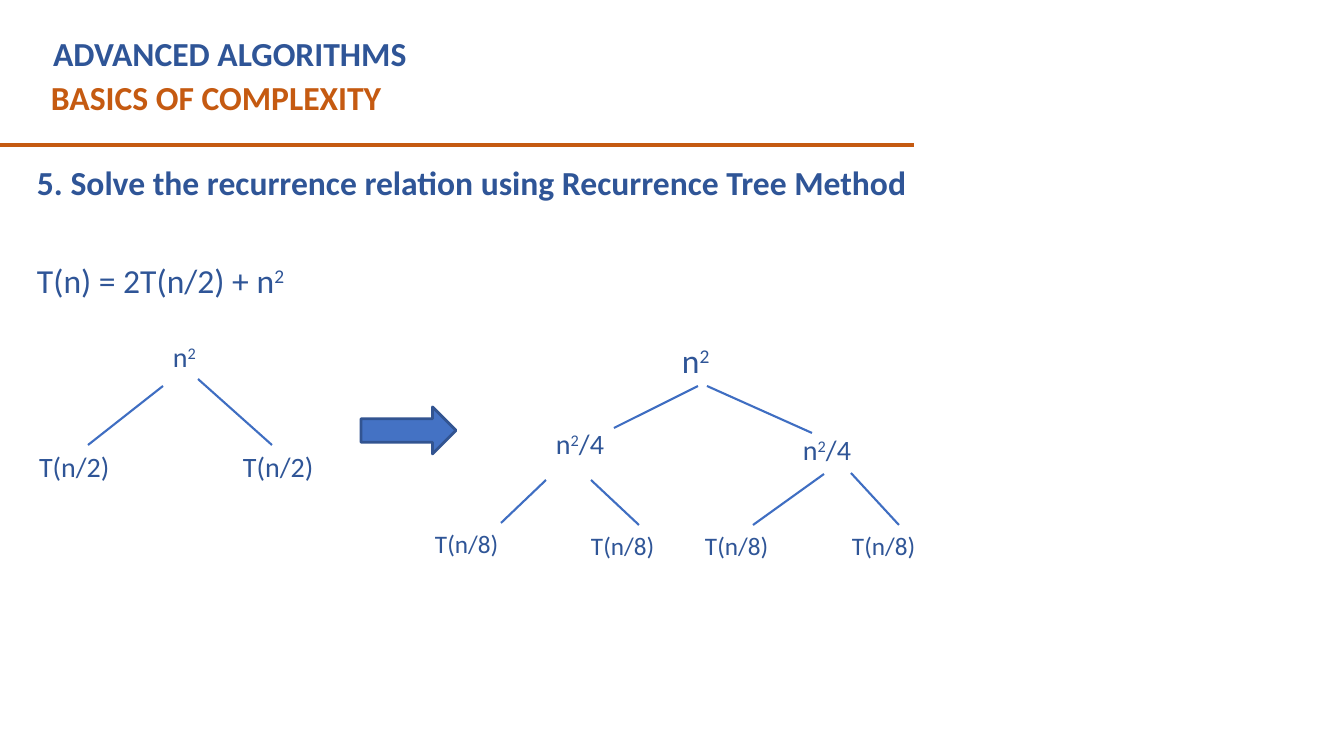
import pptx
import pptx.dml.color
import pptx.enum.shapes
import pptx.enum.text
import pptx.oxml.ns
import pptx.util
from lxml import etree

RGBColor = pptx.dml.color.RGBColor
NAVY = RGBColor(0x2F, 0x55, 0x97)
ORANGE = RGBColor(0xC5, 0x5A, 0x11)
EDGE_BLUE = RGBColor(0x3F, 0x6E, 0xC2)
ARROW_FILL = RGBColor(0x44, 0x72, 0xC4)
ARROW_LINE = RGBColor(0x32, 0x54, 0x91)

EMU_PER_PX = 914400 / 100.8
HEADING = {"size": pptx.util.Pt(24), "bold": True}


def px(length):
    return pptx.util.Emu(round(length * EMU_PER_PX))


class SlideBuilder:
    def __init__(self, page):
        self.page = page
        self.shapes = page.shapes
        self.font = {"name": "Calibri", "size": pptx.util.Pt(20), "bold": False}

    def start_group(self):
        """Put the elements that follow into a new group."""
        self.shapes = self.page.shapes.add_group_shape().shapes

    def end_group(self):
        self.shapes = self.page.shapes

    def add_spans(self, para, text, color=NAVY, **style):
        """Fill a paragraph; text between two ^ marks is superscript."""
        for index, part in enumerate(text.split("^")):
            if not part:
                continue
            span = para.add_run()
            span.text = part
            for name, value in {**self.font, **style}.items():
                setattr(span.font, name, value)
            span.font.color.rgb = color
            if index % 2:
                span._r.get_or_add_rPr().set("baseline", "30000")

    def frame(self, left, top, width, height, inset=5):
        box = self.shapes.add_textbox(px(left), px(top), px(width), px(height))
        frame = box.text_frame
        layout = {"word_wrap": True, "margin_left": px(10), "margin_right": px(10),
                  "margin_top": px(inset), "margin_bottom": px(inset)}
        for name, value in layout.items():
            setattr(frame, name, value)
        return frame

    def label(self, text, left, top, width, height, **style):
        frame = self.frame(left, top, width, height)
        self.add_spans(frame.paragraphs[0], text, **style)

    def question(self, heading, equation, left, top, width, height):
        frame = self.frame(left, top, width, height, inset=0)
        frame.vertical_anchor = pptx.enum.text.MSO_ANCHOR.MIDDLE
        first, second = frame.paragraphs[0], frame.add_paragraph()
        for para in (first, second):
            para.alignment = pptx.enum.text.PP_ALIGN.JUSTIFY
            para.space_after = pptx.util.Pt(6)
            para._p.get_or_add_pPr().set("marL", str(px(10)))
        second.space_before = pptx.util.Pt(35)
        self.add_spans(first, heading, **HEADING)
        self.add_spans(second, equation, size=pptx.util.Pt(24))

    def line(self, start_x, start_y, end_x, end_y, color=EDGE_BLUE, weight=1.5):
        line = self.shapes.add_connector(
            pptx.enum.shapes.MSO_CONNECTOR.STRAIGHT,
            px(start_x), px(start_y), px(end_x), px(end_y))
        line.line.color.rgb = color
        line.line.width = pptx.util.Pt(weight)
        etree.SubElement(line._element.spPr, pptx.oxml.ns.qn("a:effectLst"))

    def arrow(self, left, top, width, height):
        arrow = self.shapes.add_shape(
            pptx.enum.shapes.MSO_SHAPE.RIGHT_ARROW,
            px(left), px(top), px(width), px(height))
        arrow.shadow.inherit = False
        arrow.fill.solid()
        arrow.fill.fore_color.rgb = ARROW_FILL
        arrow.line.color.rgb = ARROW_LINE
        arrow.line.width = pptx.util.Pt(2)


def draw_first_tree(builder):
    builder.start_group()
    builder.label("n^2^", 163, 335, 68, 43)
    for left in (29, 233):
        builder.label("T(n/2)", left, 445, 116, 43)
    for edge in ((163, 386, 88, 445), (198, 379, 272, 445)):
        builder.line(*edge)
    builder.end_group()


def draw_expanded_tree(builder):
    builder.start_group()
    builder.label("n^2^", 672, 335, 68, 50, size=pptx.util.Pt(24))
    for left, top in ((546, 422), (793, 428)):
        builder.label("n^2^/4", left, top, 116, 43)
    for left, top in ((425, 523), (581, 525), (695, 525), (842, 525)):
        builder.label("T(n/8)", left, top, 116, 40, size=pptx.util.Pt(18))
    edges = (
        (698, 386, 614, 428), (707, 386, 812, 433),
        (546, 480, 501, 523), (591, 480, 639, 525),
        (824, 474, 753, 525), (851, 473, 899, 525),
    )
    for edge in edges:
        builder.line(*edge)
    builder.end_group()


def main():
    deck = pptx.Presentation()
    deck.slide_width, deck.slide_height = px(1344), px(756)
    builder = SlideBuilder(deck.slides.add_slide(deck.slide_layouts[6]))

    builder.label("ADVANCED ALGORITHMS", 43, 28, 827, 50, **HEADING)
    builder.label("BASICS OF COMPLEXITY", 41, 72, 882, 50, color=ORANGE, **HEADING)
    builder.line(0, 145, 914, 145, color=ORANGE, weight=3)
    builder.question("5. Solve the recurrence relation using Recurrence Tree Method",
                     "T(n) = 2T(n/2) + n^2^", 17, 142, 914, 178)
    draw_first_tree(builder)
    draw_expanded_tree(builder)
    builder.arrow(361, 407, 95, 47)
    deck.save("out.pptx")


if __name__ == "__main__":
    main()
